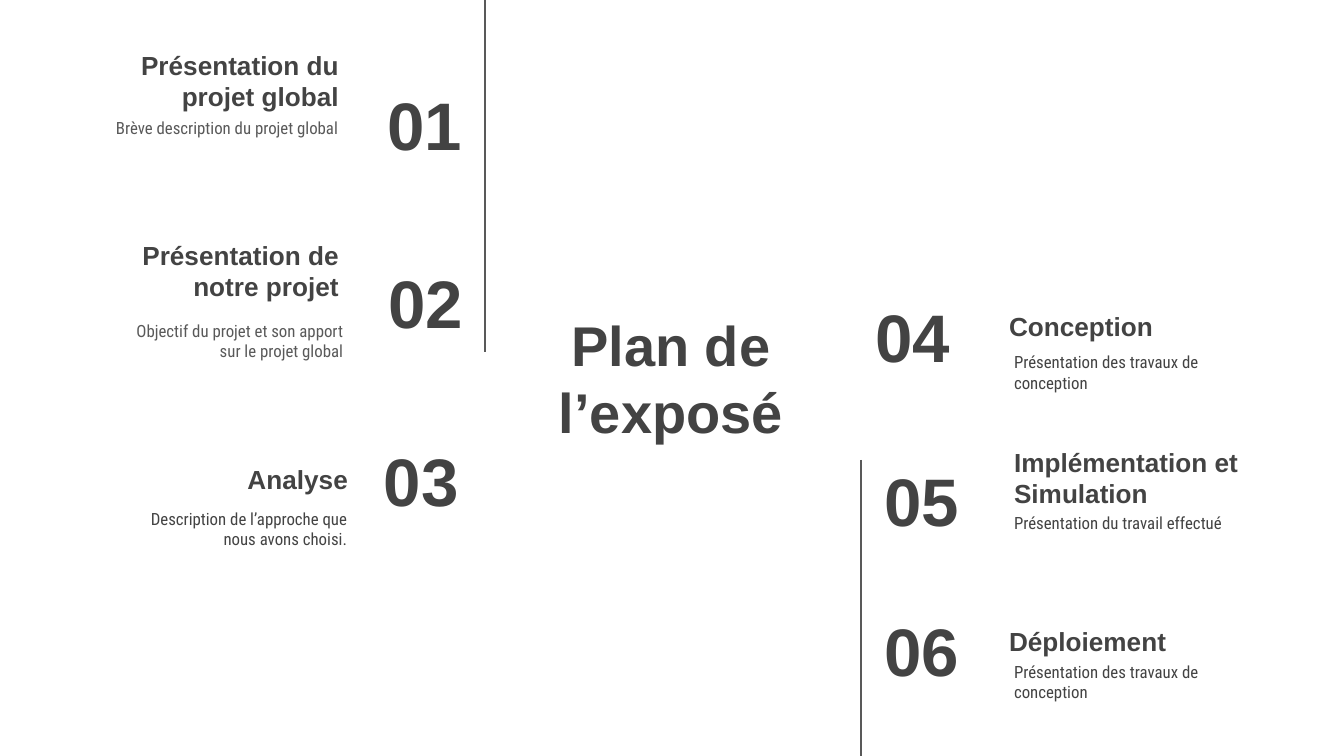
"""Build the outline slide: a central title with six numbered sections."""
from typing import NamedTuple

from pptx import Presentation
from pptx.dml.color import RGBColor
from pptx.enum.shapes import MSO_CONNECTOR
from pptx.enum.text import MSO_ANCHOR, MSO_AUTO_SIZE, PP_ALIGN
from pptx.oxml.ns import qn
from pptx.util import Emu, Pt
from lxml import etree

LEFT, CENTER, RIGHT = PP_ALIGN.LEFT, PP_ALIGN.CENTER, PP_ALIGN.RIGHT
TOP, MIDDLE, BOTTOM = MSO_ANCHOR.TOP, MSO_ANCHOR.MIDDLE, MSO_ANCHOR.BOTTOM
NO_AUTOFIT = MSO_AUTO_SIZE.NONE
STRAIGHT = MSO_CONNECTOR.STRAIGHT

DARK = RGBColor(0x43, 0x43, 0x43)
GRAY = RGBColor(0x59, 0x59, 0x59)
WHITE = RGBColor(0xFF, 0xFF, 0xFF)

SLIDE_WIDTH, SLIDE_HEIGHT = 1344, 756
EMU_PER_PX = 9144000 / SLIDE_WIDTH
INSET = 13
ROW_HEIGHT = 85
TITLE_ONLY_LAYOUT = 5


class Style(NamedTuple):
    """Look of one kind of text."""

    font: str
    size: int
    bold: bool
    anchor: MSO_ANCHOR


TITLE = Style("Arial", 30, True, MIDDLE)
NUMBER = Style("Arial", 36, True, MIDDLE)
HEADING = Style("Arial", 14, True, BOTTOM)
DESCRIPTION = Style("Roboto Condensed", 9, False, TOP)


class Section(NamedTuple):
    """Texts of a section with the left, top and width of each."""

    number: str
    number_place: tuple
    number_align: PP_ALIGN
    heading: str
    heading_place: tuple
    description: str
    description_place: tuple
    align: PP_ALIGN
    color: RGBColor = DARK


SECTIONS = [
    Section("01", (312, 81, 163), RIGHT,
            "Présentation du projet global", (62, 40, 290),
            "Brève description du projet global", (94, 105, 257), RIGHT, GRAY),
    Section("02", (313, 259, 163), RIGHT,
            "Présentation de notre projet", (114, 230, 238),
            "Objectif du projet et son apport sur le projet global",
            (110, 308, 246), RIGHT, GRAY),
    Section("03", (371, 437, 157), LEFT,
            "Analyse", (71, 423, 290),
            "Description de l’approche que nous avons choisi.",
            (114, 496, 246), RIGHT),
    Section("04", (862, 293, 157), LEFT,
            "Conception", (996, 270, 290),
            "Présentation des travaux de conception", (1001, 339, 246), LEFT),
    Section("05", (871, 457, 157), LEFT,
            "Implémentation et Simulation", (1001, 437, 290),
            "Présentation du travail effectué", (1001, 500, 246), LEFT),
    Section("06", (871, 607, 157), LEFT,
            "Déploiement", (996, 585, 290),
            "Présentation des travaux de conception", (1001, 649, 246), LEFT),
]
RULES = [(485, 0, 352), (861, 460, SLIDE_HEIGHT)]


def px(length):
    """Turn pixels into EMU."""
    return Emu(round(length * EMU_PER_PX))


def format_text(shape, text, style, align, color=DARK):
    """Write one paragraph into the shape and style it."""
    frame = shape.text_frame
    frame.text = text
    frame.word_wrap = True
    frame.auto_size = NO_AUTOFIT
    frame.vertical_anchor = style.anchor
    frame.margin_left = frame.margin_right = px(INSET)
    frame.margin_top = frame.margin_bottom = px(INSET)
    paragraph = frame.paragraphs[0]
    paragraph.alignment = align
    font = paragraph.runs[0].font
    font.name = style.font
    font.size = Pt(style.size)
    font.bold = style.bold
    font.color.rgb = color


def place_title(slide):
    """Move the title placeholder to the centre and fill it."""
    title = slide.shapes.title
    title.left, title.top = px(497), px(309)
    title.width, title.height = px(348), px(138)
    format_text(title, "Plan de l’exposé", TITLE, CENTER)


def add_text(slide, text, place, style, align, color=DARK):
    """Add a text box of the common row height."""
    left, top, width = place
    box = slide.shapes.add_textbox(px(left), px(top), px(width), px(ROW_HEIGHT))
    format_text(box, text, style, align, color)


def add_section(slide, section):
    """Add the number, heading and description of a section."""
    add_text(slide, section.number, section.number_place, NUMBER,
             section.number_align)
    add_text(slide, section.heading, section.heading_place, HEADING,
             section.align)
    add_text(slide, section.description, section.description_place,
             DESCRIPTION, section.align, section.color)


def add_rule(slide, x, top, bottom):
    """Add a thin vertical line without shadow."""
    rule = slide.shapes.add_connector(STRAIGHT, px(x), px(top), px(x), px(bottom))
    rule.line.color.rgb = GRAY
    rule.line.width = Pt(0.75)
    etree.SubElement(rule._element.spPr, qn("a:effectLst"))


def main():
    """Build and save the presentation."""
    presentation = Presentation()
    presentation.slide_width = px(SLIDE_WIDTH)
    presentation.slide_height = px(SLIDE_HEIGHT)
    layout = presentation.slide_layouts[TITLE_ONLY_LAYOUT]
    slide = presentation.slides.add_slide(layout)
    slide.background.fill.solid()
    slide.background.fill.fore_color.rgb = WHITE
    place_title(slide)
    for section in SECTIONS:
        add_section(slide, section)
    for x, top, bottom in RULES:
        add_rule(slide, x, top, bottom)
    presentation.save("out.pptx")


if __name__ == "__main__":
    main()
